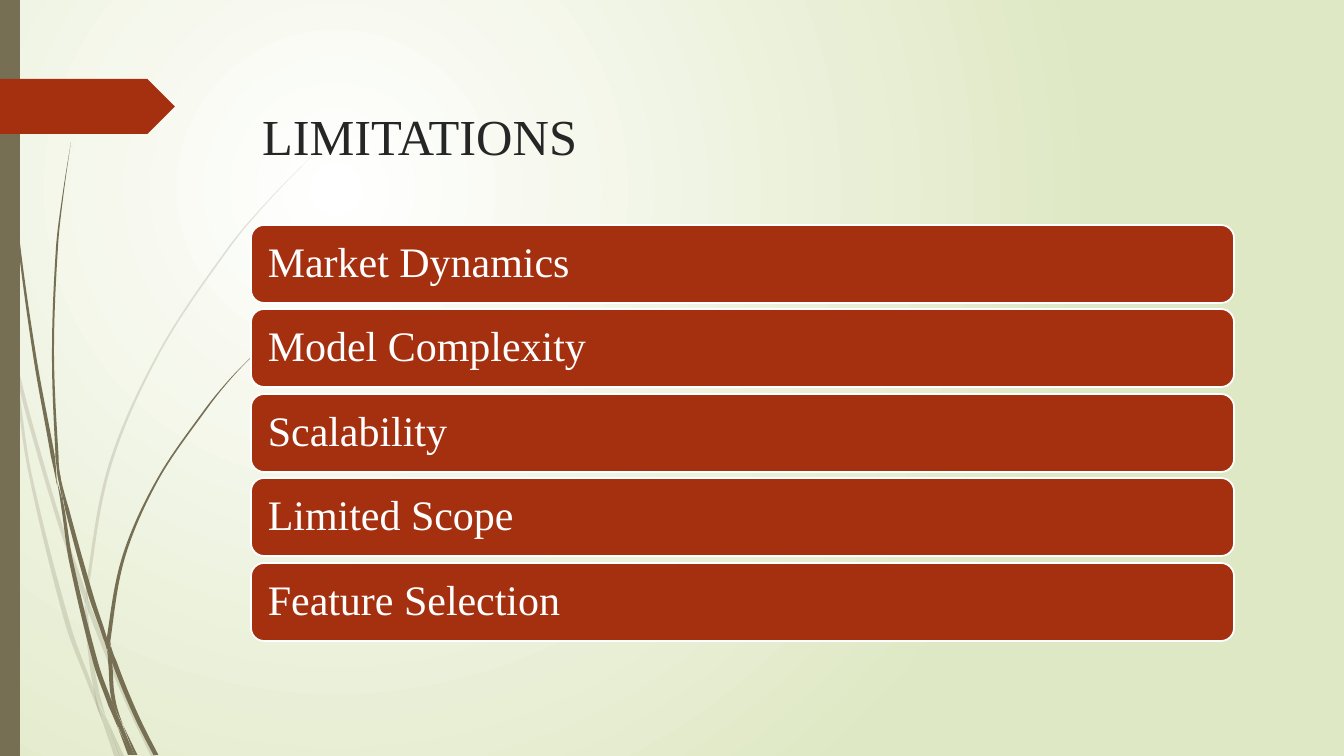
import pptx
import pptx.dml.color
import pptx.enum.shapes
import pptx.enum.text
import pptx.oxml
import pptx.oxml.ns
import pptx.util

PX = 9071  # EMU in one px, 100.8 px to the inch
OLIVE, RUST, WHITE, INK = "766F54", "A53010", "FFFFFF", "262626"
SHAPES = pptx.enum.shapes.MSO_SHAPE
ANCHORS = pptx.enum.text.MSO_ANCHOR


def rgb(colour):
    return pptx.dml.color.RGBColor.from_string(colour)


def write(box, text, size, colour, anchor, inset_x, inset_y, line_spacing=1.0):
    frame = box.text_frame
    frame.word_wrap = True
    frame.vertical_anchor = anchor
    frame.margin_left = frame.margin_right = inset_x * PX
    frame.margin_top = frame.margin_bottom = inset_y * PX
    para = frame.paragraphs[0]
    para.alignment = pptx.enum.text.PP_ALIGN.LEFT
    para.line_spacing = line_spacing
    span = para.add_run()
    span.text = text
    span.font.name = "Times New Roman"
    span.font.size = pptx.util.Pt(size)
    span.font.color.rgb = rgb(colour)


deck = pptx.Presentation()
deck.slide_width, deck.slide_height = 1344 * PX, 756 * PX
page = deck.slides.add_slide(deck.slide_layouts[6])

# Background: white glow fading to pale green
backdrop = page.background.fill
backdrop.gradient()
for stop, colour, position in zip(backdrop.gradient_stops, (WHITE, "DFE8C4"), (0, 1)):
    stop.color.rgb = rgb(colour)
    stop.position = position
direction = page.element.find(".//" + pptx.oxml.ns.qn("a:lin"))
direction.getparent().replace(direction, pptx.oxml.parse_xml(
    f'<a:path {pptx.oxml.ns.nsdecls("a")} path="circle">'
    '<a:fillToRect l="50000" t="50000" r="100000" b="100000"/></a:path>'))

# Pieces of grass blades as (x, y, width) knots from the top down
pale_blades = [
    [(0, 284, 0), (2, 301, 3), (8, 325, 2), (11, 353, 0)],
    [(14, 348, 0), (19, 379, 4), (34, 436, 4), (60, 524, 4), (83, 591, 5), (85, 604, 0)],
    [(89, 601, 0), (92, 615, 5), (126, 699, 4), (154, 757, 5)],
    [(106, 717, 0), (122, 757, 5)],
    [(11, 353, 0), (16, 379, 3), (30, 473, 3), (68, 625, 5), (92, 690, 4), (102, 720, 0)],
    [(85, 604, 0), (86, 615, 4), (90, 651, 4), (96, 688, 5), (106, 717, 0)],
    [(314, 154, 0), (270, 199, 1), (230, 246, 2), (160, 351, 2), (110, 465, 3), (87, 589, 3),
     (88, 601, 0)],
    [(102, 720, 0), (117, 757, 5)],
    [(86, 591, 0), (87, 602, 4), (89, 615, 0)],
    [(94, 688, 0), (98, 705, 3), (104, 719, 5), (120, 757, 0)],
]
dark_blades = [
    [(3, 0, 1), (7, 111, 1), (18, 235, 2), (35, 358, 3), (53, 457, 4), (57, 485, 0)],
    [(60, 476, 0), (67, 509, 4), (91, 596, 5), (105, 638, 4), (107, 650, 0)],
    [(111, 646, 0), (114, 661, 5), (135, 713, 5), (156, 755, 5)],
    [(57, 481, 0), (63, 509, 3), (71, 561, 4), (96, 664, 5), (111, 706, 5), (118, 728, 0)],
    [(71, 142, 0), (63, 195, 1), (57, 247, 2), (53, 352, 2), (57, 455, 3), (60, 476, 0)],
    [(123, 725, 0), (136, 755, 3)],
    [(55, 453, 0), (59, 476, 3), (64, 509, 0)],
    [(262, 347, 0), (233, 376, 1), (206, 409, 2), (158, 479, 2), (124, 556, 3), (109, 637, 4),
     (111, 646, 0)],
    [(118, 728, 0), (130, 755, 4)],
    [(107, 650, 0), (110, 661, 4), (113, 697, 4), (123, 725, 0)],
    [(107, 636, 0), (109, 648, 4), (111, 661, 0)],
    [(111, 697, 0), (115, 712, 3), (119, 723, 5), (133, 755, 3)],
]
for opacity, knots in [(20, blade) for blade in pale_blades] + [(100, blade) for blade in dark_blades]:
    # Slope of x over y at each knot, then Bezier handles a third of the way along
    chords = [(end[0] - start[0]) / (end[1] - start[1]) for start, end in zip(knots, knots[1:])]
    slopes = [(after[0] - before[0]) / (after[1] - before[1]) for before, after in zip(knots, knots[2:])]
    if slopes:
        slopes = [1.5 * chords[0] - slopes[0] / 2, *slopes, 1.5 * chords[-1] - slopes[-1] / 2]
    else:
        slopes = chords * 2
    spine = [knots[0]]
    for start, end, slope_in, slope_out in zip(knots, knots[1:], slopes, slopes[1:]):
        rise, swell = (end[1] - start[1]) / 3, (end[2] - start[2]) / 3
        spine += [(start[0] + slope_in * rise, start[1] + rise, start[2] + swell),
                  (end[0] - slope_out * rise, end[1] - rise, end[2] - swell), end]
    left_edge = [((x - width / 2) * PX, y * PX) for x, y, width in spine]
    right_edge = [((x + width / 2) * PX, y * PX) for x, y, width in reversed(spine)]
    outline = page.shapes.build_freeform(*left_edge[0])
    outline.add_line_segments(left_edge[1:] + right_edge[:1] * 3 + right_edge[1:])
    blade = outline.convert_to_shape()

    # Every three points become one cubic curve
    lines = blade.element.findall(".//" + pptx.oxml.ns.qn("a:lnTo"))
    for first in range(0, len(lines) - 2, 3):
        curve = pptx.oxml.parse_xml(f'<a:cubicBezTo {pptx.oxml.ns.nsdecls("a")}/>')
        lines[first].addprevious(curve)
        for line in lines[first:first + 3]:
            curve.append(line[0])
            line.getparent().remove(line)

    blade.shadow.inherit = False
    blade.line.fill.background()
    blade.fill.solid()
    blade.fill.fore_color.rgb = rgb(OLIVE)
    if opacity < 100:
        tint = blade.element.find(".//" + pptx.oxml.ns.qn("a:srgbClr"))
        tint.append(pptx.oxml.parse_xml(
            f'<a:alpha {pptx.oxml.ns.nsdecls("a")} val="{opacity * 1000}"/>'))

# Side strip, page tag and one card for each limitation
limitations = ["Market Dynamics", "Model Complexity", "Scalability", "Limited Scope",
               "Feature Selection"]
panels = [
    (SHAPES.RECTANGLE, 0, 0, 20, 756, OLIVE, ""),
    (SHAPES.PENTAGON, 0, 79, 175, 55, RUST, ""),
]
for index, limitation in enumerate(limitations):
    panels.append((SHAPES.ROUNDED_RECTANGLE, 251, 225 + index * 338 // 4, 983, 78, RUST, limitation))

for kind, left, top, width, height, colour, label in panels:
    panel = page.shapes.add_shape(kind, left * PX, top * PX, width * PX, height * PX)
    panel.shadow.inherit = False
    panel.fill.solid()
    panel.fill.fore_color.rgb = rgb(colour)
    if label:
        panel.line.color.rgb = rgb(WHITE)
        panel.line.width = pptx.util.Pt(1.25)
        write(panel, label, size=30, colour=WHITE, anchor=ANCHORS.MIDDLE,
              inset_x=13, inset_y=12, line_spacing=0.9)
    else:
        panel.line.fill.background()

title = page.shapes.add_textbox(252 * PX, 100 * PX, 983 * PX, 141 * PX)
write(title, "LIMITATIONS", size=36, colour=INK, anchor=ANCHORS.TOP, inset_x=10, inset_y=5)

deck.save("out.pptx")
